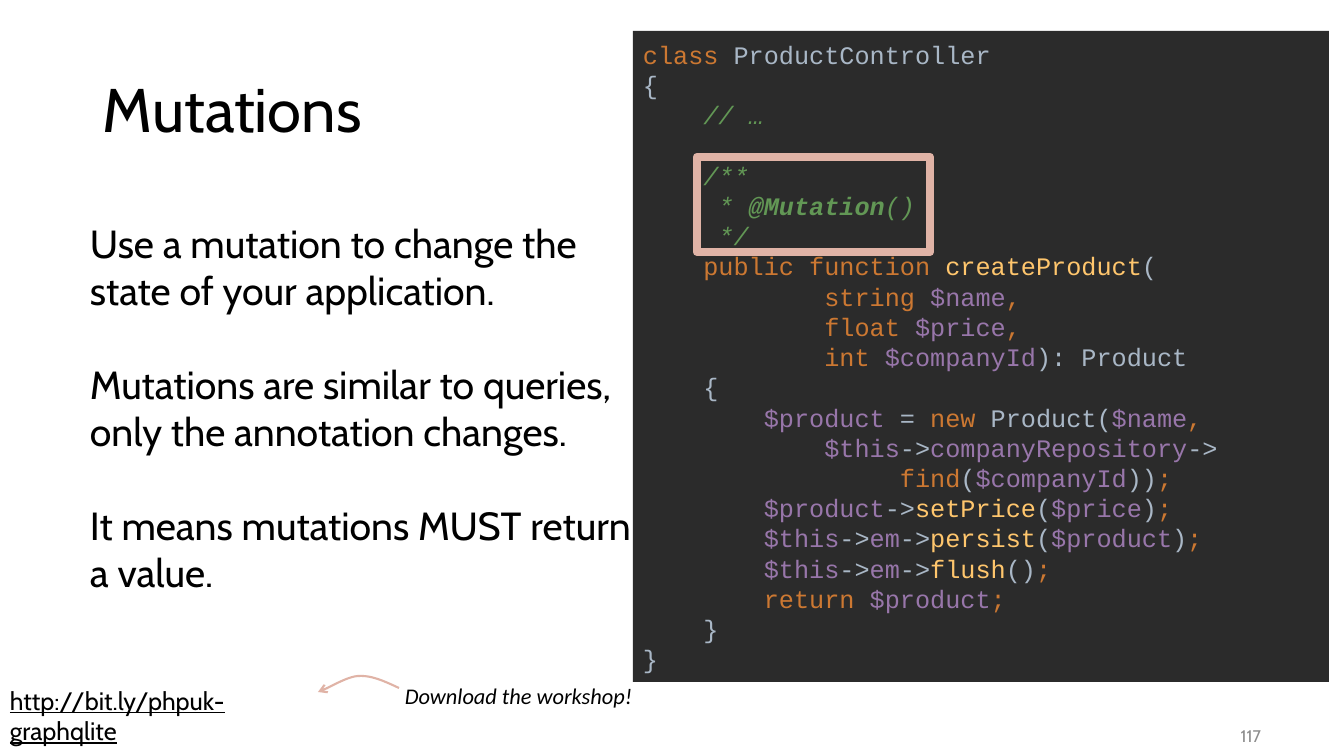
from dataclasses import dataclass

from lxml import etree
from pptx import Presentation
from pptx import util as u
from pptx.dml.color import RGBColor
from pptx.enum import shapes, text
from pptx.oxml.ns import qn

PX = 914400 / 100.8  # EMU in one px


@dataclass(frozen=True)
class Theme:
    ink: str = "000000"
    rose: str = "E0B3A6"
    panel: str = "2B2B2B"
    grey: str = "8C8C8C"
    sans: str = "Cabin"
    hand: str = "Calibri"
    mono: str = "Courier New"
    title: int = 44
    body: int = 28
    code: int = 18
    link: int = 18
    note: int = 16
    page: int = 12


THEME = Theme()

# Code style: key -> colour, italic, bold
STYLES = {
    "key": ("CC7832", False, False),
    "txt": ("A9B7C6", False, False),
    "var": ("9876AA", False, False),
    "fun": ("FFC66D", False, False),
    "doc": ("629755", True, False),
    "tag": ("629755", True, True),
}

# One code line a row, made of style:text parts
CODE = """\
key:class |txt:ProductController
txt:{
doc:    // …
doc:    /**
doc:     * |tag:@Mutation|doc:()
doc:     */
key:    public function |fun:createProduct|txt:(
key:            string |var:$name|key:,
key:            float |var:$price|key:,
key:            int |var:$companyId|txt:): Product
txt:    {
var:        $product |txt:= |key:new |txt:Product(|var:$name|key:,
var:            $this|txt:->|var:companyRepository|txt:->
key:                 find|txt:(|var:$companyId|txt:))|key:;
var:        $product|txt:->|fun:setPrice|txt:(|var:$price|txt:)|key:;
var:        $this|txt:->|var:em|txt:->|fun:persist|txt:(|var:$product|txt:)|key:;
var:        $this|txt:->|var:em|txt:->|fun:flush|txt:()|key:;
key:        return |var:$product|key:;
txt:    }
txt:}""".split("\n")
GAP_ROW = 3  # row with an empty line above it

BODY = [
    "Use a mutation to change the state of your application.",
    "Mutations are similar to queries, only the annotation changes.",
    "It means mutations MUST return a value.",
]


def px(*vals):
    return [u.Emu(round(v * PX)) for v in vals]


def rgb(code):
    return RGBColor.from_string(code)


def bend(a, b, c, d, steps=12):
    """Points on a cubic curve, without its start."""
    for i in range(1, steps + 1):
        t = i / steps
        s = 1 - t
        yield [s**3 * p + 3 * s * s * t * q + 3 * s * t * t * r + t**3 * e
               for p, q, r, e in zip(a, b, c, d)]


class Deck:
    def __init__(self, theme, wide, high):
        self.theme = theme
        self.prs = Presentation()
        self.prs.slide_width, self.prs.slide_height = px(wide, high)
        self.slide = self.prs.slides.add_slide(self.prs.slide_layouts[6])
        self.shapes = self.slide.shapes

    def font(self, run, face, size, color, italic=False, bold=False):
        font = run.font
        font.name, font.size = face, u.Pt(size)
        font.italic, font.bold = italic, bold
        font.color.rgb = rgb(color)

    def label(self, box, words, size, face=None, color=None, italic=False,
              line=False, mid=False, right=False, gap=0, lead=None):
        frame = self.shapes.add_textbox(*px(*box)).text_frame
        frame.word_wrap = True
        if mid:
            frame.vertical_anchor = text.MSO_ANCHOR.MIDDLE
        frame.text = words
        for i, para in enumerate(frame.paragraphs):
            if right:
                para.alignment = text.PP_ALIGN.RIGHT
            if lead:
                para.line_spacing = lead
            if gap and i:
                para.space_before = u.Pt(gap)
            for run in para.runs:
                self.font(run, face or self.theme.sans, size,
                          color or self.theme.ink, italic)
                run.font.underline = line

    def stroke(self, shape, width):
        shape.shadow.inherit = False
        shape.fill.background()
        shape.line.color.rgb = rgb(self.theme.rose)
        shape.line.width = u.Pt(width)
        ln = shape.line._get_or_add_ln()
        etree.SubElement(ln, qn("a:round"))
        return ln

    def rect(self, box):
        return self.shapes.add_shape(shapes.MSO_SHAPE.RECTANGLE, *px(*box))

    def frame(self, box, width):
        self.stroke(self.rect(box), width)

    def code(self, box, rows, gap):
        panel = self.rect(box)
        panel.shadow.inherit = False
        panel.fill.solid()
        panel.fill.fore_color.rgb = rgb(self.theme.panel)
        panel.line.fill.background()
        frame = panel.text_frame
        frame.word_wrap = True
        frame.vertical_anchor = text.MSO_ANCHOR.MIDDLE
        for i, row in enumerate(rows):
            para = frame.add_paragraph() if i else frame.paragraphs[0]
            para.alignment = text.PP_ALIGN.LEFT
            if i == GAP_ROW:
                para.space_before = u.Pt(gap)
            for part in row.split("|"):
                key, _, words = part.partition(":")
                run = para.add_run()
                run.text = words
                self.font(run, self.theme.mono, self.theme.code, *STYLES[key])

    def arrow(self, start, curves, width):
        pts = [start]
        for curve in curves:
            pts += bend(pts[-1], *curve)
        pts = [px(*p) for p in pts]
        path = self.shapes.build_freeform(*pts[0], scale=1.0)
        path.add_line_segments(pts[1:], close=False)
        ln = self.stroke(path.convert_to_shape(), width)
        etree.SubElement(ln, qn("a:tailEnd"), type="arrow")


def main():
    t = THEME
    deck = Deck(t, 1344, 756)

    # Footer link and its hint
    deck.label((0, 680, 336, 40), "http://bit.ly/phpuk-graphqlite", t.link, line=True)
    deck.arrow((399, 688), [((386, 682), (372, 675), (358, 676)),
                            ((345, 677), (328, 689), (318, 692))], 1.5)
    deck.label((395, 677, 251, 37), "Download the workshop!", t.note,
               face=t.hand, italic=True)

    # Title and body
    deck.label((93, 40, 1159, 146), "Mutations", t.title, mid=True, lead=0.9)
    deck.label((80, 214, 568, 390), "\n".join(BODY), t.body, gap=33.6)

    # Code panel with the annotation framed
    deck.code((633, 31, 696, 651), CODE, gap=21.6)
    deck.frame((697, 157, 233, 95), 6)

    # Page number
    deck.label((969, 716, 302, 40), "117", t.page, color=t.grey, mid=True, right=True)

    deck.prs.save("out.pptx")


if __name__ == "__main__":
    main()
